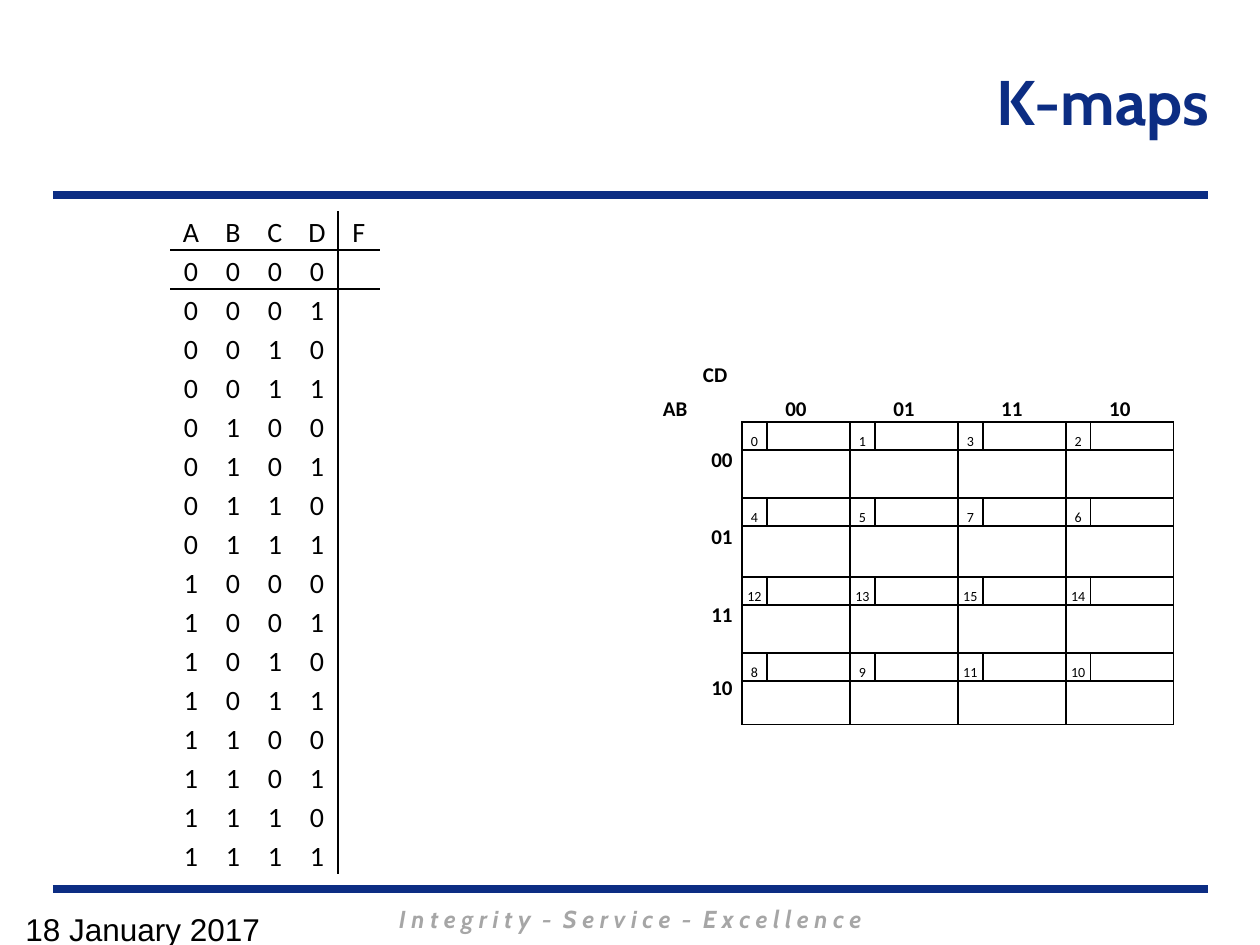
from itertools import product

from lxml.etree import SubElement
from pptx import Presentation
from pptx.dml.color import RGBColor
from pptx.enum.shapes import MSO_CONNECTOR
from pptx.enum.text import MSO_ANCHOR as Anchor, PP_ALIGN as Align
from pptx.oxml.ns import qn
from pptx.util import Emu, Pt

NAVY = RGBColor(0x0C, 0x2D, 0x83)
GRAY = RGBColor(0xA6, 0xA6, 0xA6)
BLACK = RGBColor(0, 0, 0)
NO_STYLE_NO_GRID = "{2D5ABB26-0587-4C30-8999-92F81FD0307C}"
GRAY_CODE = ["00", "01", "11", "10"]


def px(value):
    return Emu(round(value * 914400 / 126))


def set_font(paragraph, name, size, color, bold=False, italic=False):
    font = paragraph.font
    font.name, font.size, font.bold, font.italic = name, Pt(size), bold, italic
    font.color.rgb = color


def place(shape, left, top, width, height):
    shape.left, shape.top = px(left), px(top)
    shape.width, shape.height = px(width), px(height)


def add_title(slide, text):
    title = slide.shapes.title
    place(title, 252, 25, 970, 151)
    title.text_frame.text = text
    title.text_frame.vertical_anchor = Anchor.MIDDLE
    paragraph = title.text_frame.paragraphs[0]
    paragraph.alignment = Align.RIGHT
    set_font(paragraph, "Cabin", 36, NAVY, bold=True)


def add_rule(slide, y):
    rule = slide.shapes.add_connector(MSO_CONNECTOR.STRAIGHT, px(53), px(y), px(1208), px(y))
    rule.line.color.rgb = NAVY
    rule.line.width = Pt(4.5)
    SubElement(rule._element.spPr, qn("a:effectLst"))


def add_text(slide, text, box, align, *font, **style):
    shape = slide.shapes.add_textbox(*map(px, box))
    shape.text_frame.word_wrap = True
    paragraph = shape.text_frame.paragraphs[0]
    paragraph.text = text
    paragraph.alignment = align
    set_font(paragraph, *font, **style)


def add_plain_table(slide, left, top, widths, heights):
    """Add a table without style, banding or header row."""
    frame = slide.shapes.add_table(len(heights), len(widths), px(left), px(top),
                                   px(sum(widths)), px(sum(heights)))
    table = frame.table
    table.first_row = table.horz_banding = False
    table._tbl.tblPr.find(qn("a:tableStyleId")).text = NO_STYLE_NO_GRID
    for column, width in zip(table.columns, widths):
        column.width = px(width)
    for row, height in zip(table.rows, heights):
        row.height = px(height)
    return table


def format_cell(cell, text, size, borders="", bold=False, align=Align.CENTER,
                anchor=Anchor.BOTTOM, margin=1, line_spacing=1.0):
    """Fill in a cell; borders names its ruled sides with letters from LRTB."""
    cell.margin_left = cell.margin_right = px(margin)
    cell.margin_top = cell.margin_bottom = 0
    cell.vertical_anchor = anchor
    paragraph = cell.text_frame.paragraphs[0]
    paragraph.text = text
    paragraph.alignment = align
    paragraph.line_spacing = line_spacing
    set_font(paragraph, "Calibri", size, BLACK, bold)
    properties = cell._tc.get_or_add_tcPr()
    for side in "LRTB":
        if side in borders:
            line = SubElement(properties, qn(f"a:ln{side}"), w=str(Pt(1)))
            fill = SubElement(line, qn("a:solidFill"))
            SubElement(fill, qn("a:srgbClr"), val=str(BLACK))
    cell.fill.background()


def add_truth_table(slide):
    rows = ["ABCDF"] + ["".join(bits) + " " for bits in product("01", repeat=4)]
    table = add_plain_table(slide, 170, 211, [42] * 5, [39] * len(rows))
    for r, row in enumerate(rows):
        for c, text in enumerate(row):
            borders = {0: "B", 1: "T"}.get(r, "") + {3: "R", 4: "L"}.get(c, "")
            format_cell(table.cell(r, c), text.strip(), 16, borders, margin=9,
                        anchor=Anchor.TOP, line_spacing=1.15)


def add_karnaugh_map(slide):
    """Each square has a corner cell for its minterm and a wide cell below."""
    table = add_plain_table(slide, 662, 354, [40, 40] + [25, 83] * 4,
                            [34, 34, 28, 48, 28, 51, 28, 48, 28, 44])
    labels = {(0, 1): "CD", (1, 0): "AB"}
    for r, c in product(range(10), range(2)):
        if c == 0 or r < 2:
            format_cell(table.cell(r, c), labels.get((r, c), ""), 12, bold=True, align=Align.LEFT)
    for c in range(2, 10):
        format_cell(table.cell(0, c), "", 12)

    for i, code in enumerate(GRAY_CODE):
        first = 2 + 2 * i
        for cell, text, borders, anchor in [
            (table.cell(1, first), code, "B", Anchor.BOTTOM),
            (table.cell(1, first + 1), "", "B", Anchor.BOTTOM),
            (table.cell(first, 1), code, "R", Anchor.MIDDLE),
            (table.cell(first + 1, 1), "", "R", Anchor.MIDDLE),
        ]:
            format_cell(cell, text, 12, borders, bold=True, anchor=anchor)
        table.cell(1, first).merge(table.cell(1, first + 1))
        table.cell(first, 1).merge(table.cell(first + 1, 1))

    for (i, ab), (j, cd) in product(enumerate(GRAY_CODE), repeat=2):
        r, c = 2 + 2 * i, 2 + 2 * j
        format_cell(table.cell(r, c), str(int(ab + cd, 2)), 8, "LT")
        format_cell(table.cell(r, c + 1), "", 8, "RT")
        format_cell(table.cell(r + 1, c), "", 8, "LRB")
        format_cell(table.cell(r + 1, c + 1), "", 8, "RB")
        table.cell(r + 1, c).merge(table.cell(r + 1, c + 1))


def main():
    presentation = Presentation()
    presentation.slide_width, presentation.slide_height = px(1260), px(945)
    slide = presentation.slides.add_slide(presentation.slide_layouts[5])
    for y in (889, 195):
        add_rule(slide, y)
    add_text(slide, "I n t e g r i t y  -  S e r v i c e  -  E x c e l l e n c e",
             (179, 898, 903, 43), Align.CENTER, "Cabin", 14, GRAY, bold=True, italic=True)
    add_title(slide, "K-maps")
    add_text(slide, "18 January 2017", (13, 904, 294, 41), Align.LEFT, "Arial", 18, BLACK)
    add_truth_table(slide)
    add_karnaugh_map(slide)
    presentation.save("out.pptx")


if __name__ == "__main__":
    main()
